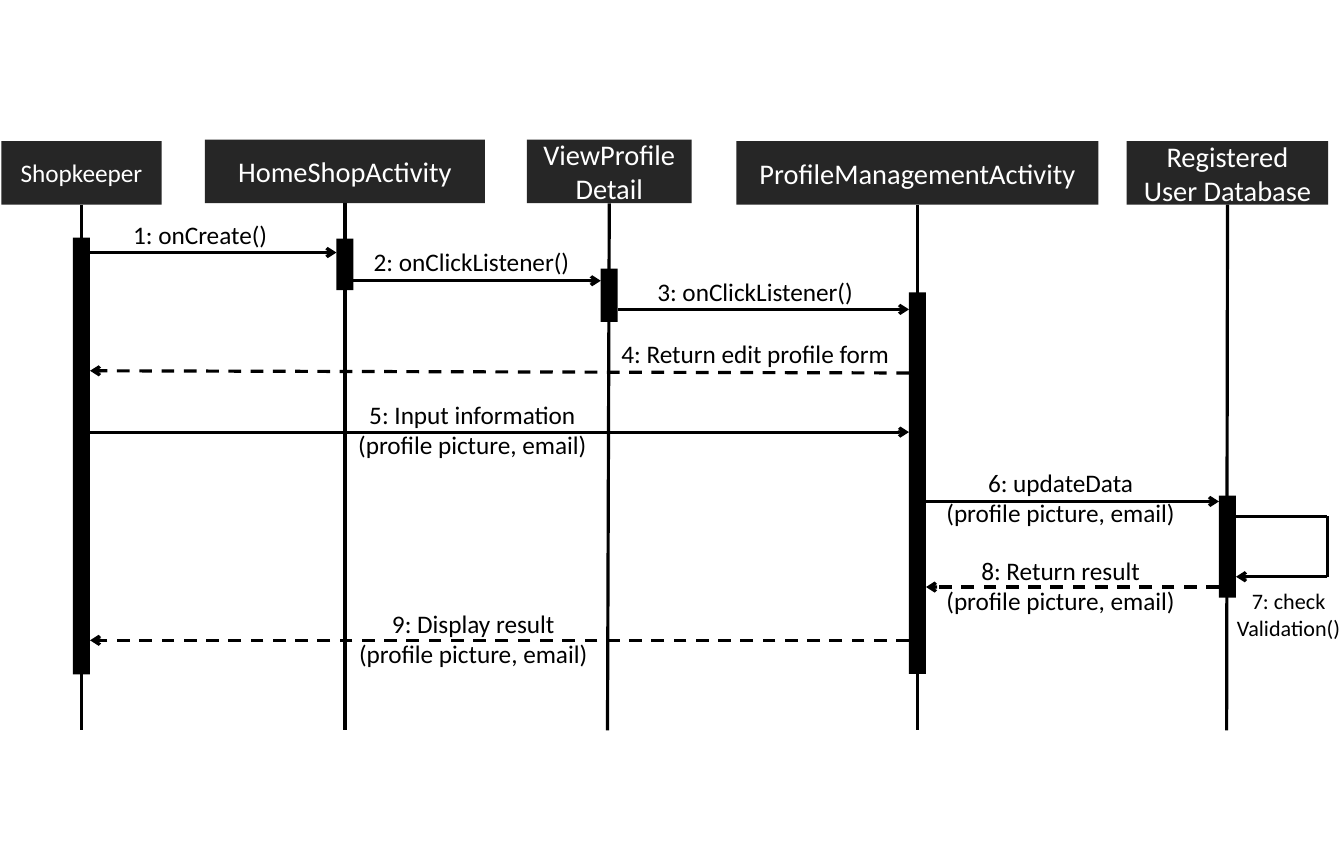
"""Draw the sequence diagram for editing a shopkeeper's profile."""
from dataclasses import dataclass

from lxml.etree import SubElement
from pptx import Presentation
from pptx.dml.color import RGBColor
from pptx.enum.dml import MSO_LINE
from pptx.enum.shapes import MSO_CONNECTOR, MSO_SHAPE
from pptx.enum.text import MSO_ANCHOR, MSO_AUTO_SIZE, PP_ALIGN
from pptx.oxml.ns import qn
from pptx.util import Cm, Pt


@dataclass(frozen=True)
class Theme:
    face: str = "Calibri"
    ink: RGBColor = RGBColor(0, 0, 0)
    head: RGBColor = RGBColor(0x26, 0x26, 0x26)
    light: RGBColor = RGBColor(255, 255, 255)
    large: Pt = Pt(18)
    base: Pt = Pt(16)
    small: Pt = Pt(14)
    stroke: Pt = Pt(2)


theme = Theme()


def put_text(shape, words, size, color, frame_format):
    frame = shape.text_frame
    frame.text = words
    for key, value in frame_format.items():
        setattr(frame, key, value)
    font_format = {"name": theme.face, "size": size}
    for para in frame.paragraphs:
        para.alignment = PP_ALIGN.CENTER
        for key, value in font_format.items():
            setattr(para.font, key, value)
        para.font.color.rgb = color


def draw_line(start, end, arrow=False, dash=False):
    line = slide.shapes.add_connector(
        MSO_CONNECTOR.STRAIGHT, *(Cm(n) for n in start + end))
    line.line.color.rgb = theme.ink
    line.line.width = theme.stroke
    if dash:
        line.line.dash_style = MSO_LINE.DASH
    props = line._element.spPr
    if arrow:
        SubElement(props.find(qn("a:ln")), qn("a:tailEnd"), type="arrow")
    SubElement(props, qn("a:effectLst"))
    return line


deck = Presentation()
deck.slide_width, deck.slide_height = Cm(30), Cm(19.05)
slide = deck.slides.add_slide(deck.slide_layouts[6])

HEAD_HEIGHT = 1.42
BAR_WIDTH = 0.38
LIFE_END = 16.31
HEAD_FORMAT = {"word_wrap": True, "vertical_anchor": MSO_ANCHOR.MIDDLE}
LABEL_FORMAT = {"word_wrap": False, "auto_size": MSO_AUTO_SIZE.SHAPE_TO_FIT_TEXT}

# name, size, centre, head top, head width, line foot, bar top, bar height
actors = [
    ("Shopkeeper", theme.base, 1.82, 3.15, 3.58, 1.82, 5.31, 9.75),
    ("HomeShopActivity", theme.large, 7.7, 3.12, 6.25, 7.7, 5.33, 1.15),
    ("ViewProfile\nDetail", theme.large, 13.6, 3.12, 3.68, 13.56, 6, 1.19),
    ("ProfileManagementActivity", theme.large, 20.48, 3.15, 8.08, 20.48, 6.53, 8.52),
    ("Registered User Database", theme.large, 27.4, 3.15, 4.5, 27.38, 11.07, 2.28),
]
for name, size, mid, top, width, foot, bar_top, bar_height in actors:
    blocks = [
        (mid - width / 2, top, width, HEAD_HEIGHT, theme.head),
        (mid - BAR_WIDTH / 2, bar_top, BAR_WIDTH, bar_height, theme.ink),
    ]
    head, bar = [], []
    for part, (*place, color) in zip((head, bar), blocks):
        block = slide.shapes.add_shape(
            MSO_SHAPE.RECTANGLE, *(Cm(n) for n in place))
        block.shadow.inherit = False
        block.fill.solid()
        block.fill.fore_color.rgb = color
        block.line.fill.background()
        part.append(block)
    put_text(head[0], name, size, theme.light, HEAD_FORMAT)
    life = draw_line((mid, top + HEAD_HEIGHT), (foot, LIFE_END))
    life.begin_connect(head[0], 2)

SHOP, HOME, VIEW, MANAGE, DATA = (actor[2] for actor in actors)
calls = [
    (SHOP, HOME, 5.64, 5.64, False),
    (HOME, VIEW, 6.27, 6.27, False),
    (VIEW, MANAGE, 6.91, 6.91, False),
    (MANAGE, SHOP, 8.33, 8.28, True),
    (SHOP, MANAGE, 9.65, 9.65, False),
    (MANAGE, DATA, 11.2, 11.2, False),
    (DATA, MANAGE, 13.11, 13.11, True),
    (MANAGE, SHOP, 14.3, 14.3, True),
]
for source, target, start_y, end_y, dash in calls:
    edge = BAR_WIDTH / 2 if target > source else -BAR_WIDTH / 2
    draw_line((source + edge, start_y), (target - edge, end_y), True, dash)

loop = [(DATA + BAR_WIDTH / 2, 11.53), (29.63, 11.53),
        (29.63, 12.88), (DATA + BAR_WIDTH / 2, 12.88)]
for step, (start, end) in enumerate(zip(loop, loop[1:])):
    draw_line(start, end, arrow=step == 2)

DETAILS = "\n(profile picture, email)"
labels = [
    ("1: onCreate()", 2.69, 4.78, 3.56, theme.base),
    ("2: onClickListener()", 8.05, 5.38, 4.95, theme.base),
    ("3: onClickListener()", 14.38, 6.05, 4.95, theme.base),
    ("4: Return edit profile form", 13.56, 7.44, 6.6, theme.base),
    ("5: Input information" + DETAILS, 7.7, 8.79, 5.69, theme.base),
    ("6: updateData" + DETAILS, 20.83, 10.31, 5.69, theme.base),
    ("7: check\nValidation()", 27.33, 13, 2.87, theme.small),
    ("8: Return result" + DETAILS, 20.83, 12.27, 5.69, theme.base),
    ("9: Display result" + DETAILS, 7.72, 13.46, 5.69, theme.base),
]
for words, left, top, width, size in labels:
    height = 1.63 if "\n" in words else 0.94
    label = slide.shapes.add_textbox(Cm(left), Cm(top), Cm(width), Cm(height))
    put_text(label, words, size, theme.ink, LABEL_FORMAT)

deck.save("out.pptx")
